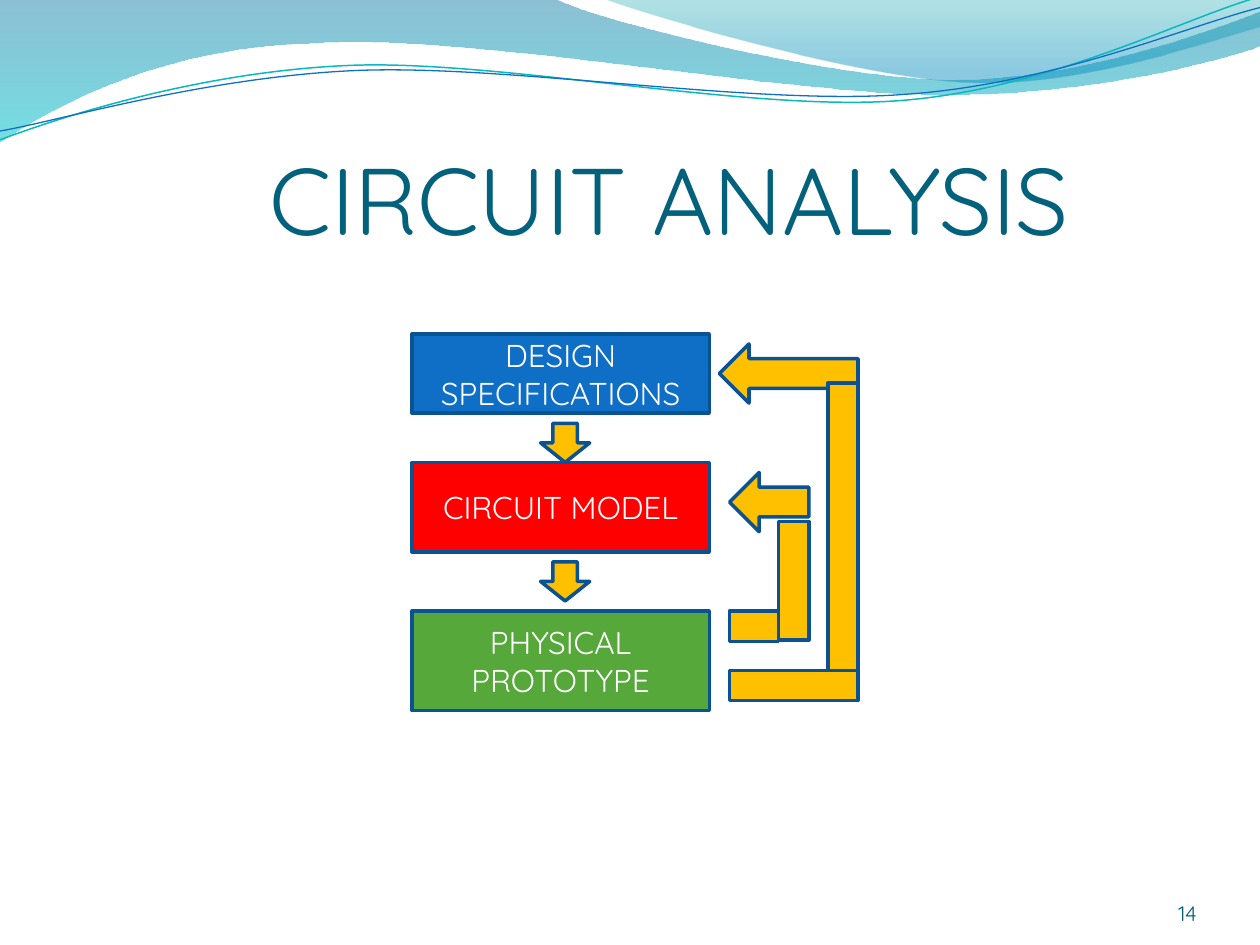
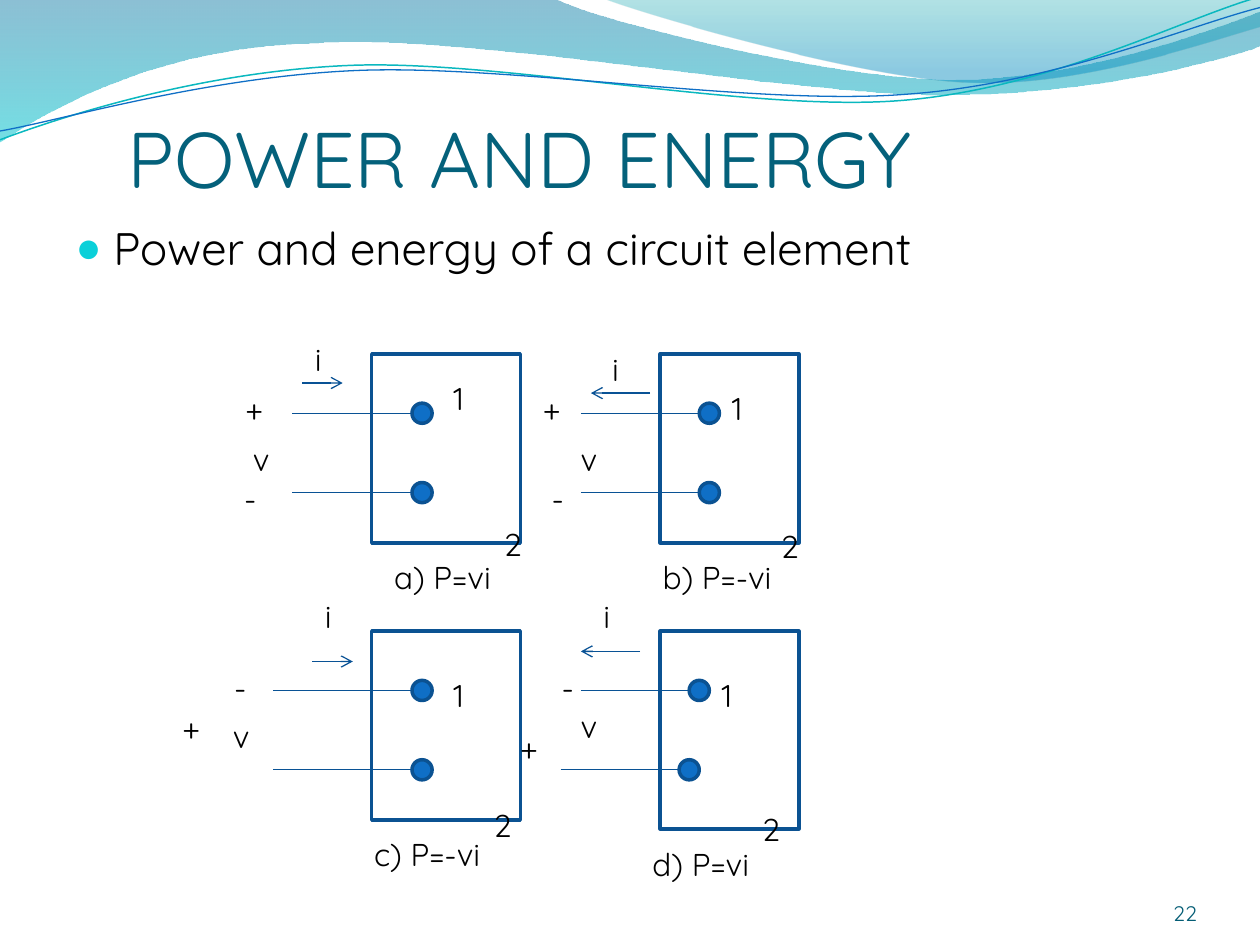
from dataclasses import dataclass

from lxml.etree import SubElement
from pptx import Presentation
from pptx.dml.color import RGBColor
from pptx.enum.shapes import MSO_CONNECTOR, MSO_SHAPE as Preset
from pptx.enum.text import MSO_ANCHOR as Anchor, MSO_AUTO_SIZE, PP_ALIGN as Align
from pptx.oxml.ns import qn
from pptx.util import Inches, Pt

# Shared look
FONT = "Quicksand"
BLACK, WHITE = "000000", "FFFFFF"
TITLE_COLOR, NUMBER_COLOR = "04617B", "045D75"
BLUE, EDGE, WIRE = "0F6FC6", "0B5292", "095295"
RED, GREEN, AMBER = "FF0000", "55A839", "FFC000"
BULLET = "0BD0D9"

Point = tuple[float, float]
Rect = tuple[float, float, float, float]


@dataclass
class Wave:
    """A start point, then segments of one point (line) or three (curve)."""
    start: Point
    segments: list[tuple[Point, ...]]
    stops: tuple = ()  # (position %, colour, opacity %)
    line: str = ""
    width: float = 0


@dataclass
class Block:
    preset: Preset
    rect: Rect
    fill: str
    text: str = ""


@dataclass
class Circuit:
    frame: Rect
    wires: tuple[Point, Point]  # start and end x of the upper and lower wire
    current: tuple[float, float, float]  # arrow from x, to x, at y
    labels: dict[str, Point]
    caption: str
    caption_at: Point


WAVES = [
    Wave((0, 0), [
        ((4.4, -0.01),),
        ((4.76, 0.17), (6.64, 0.63), (7.58, 0.63)),
        ((8.53, 0.63), (9.58, 0.26), (10, 0.09)),
        ((10.01, 0.36),),
        ((9.83, 0.44), (8.7, 0.76), (7.46, 0.75)),
        ((6.22, 0.75), (3.82, 0.28), (2.57, 0.34)),
        ((1.29, 0.36), (0.46, 0.83), (-0.01, 1.13)),
    ], stops=((0, "0074A1", 45), (100, "00C6CF", 55))),
    Wave((4.79, -0.01), [
        ((5.09, 0.11), (6.82, 0.62), (7.69, 0.65)),
        ((8.56, 0.69), (9.61, 0.32), (10, 0.21)),
        ((10, 0),),
    ], stops=((0, "00A1A9", 30), (80, "008BBF", 45))),
    Wave((0, 1.11), [
        ((0.48, 0.93), (1.58, 0.57), (2.77, 0.52)),
        ((3.95, 0.47), (5.93, 0.89), (7.13, 0.8)),
        ((8.33, 0.71), (9.38, 0.15), (9.98, -0.02)),
    ], line="0AB8BF", width=0.85),
    Wave((0, 1.04), [
        ((0.47, 0.96), (1.64, 0.61), (2.83, 0.56)),
        ((4.03, 0.51), (5.97, 0.84), (7.17, 0.75)),
        ((8.36, 0.67), (9.41, 0.21), (10, 0.06)),
    ], line=BLUE, width=0.75),
]

BLOCKS = [
    Block(Preset.RECTANGLE, (3.27, 2.65, 2.36, 0.63), BLUE, "DESIGN SPECIFICATIONS"),
    Block(Preset.RECTANGLE, (3.27, 3.67, 2.36, 0.71), RED, "CIRCUIT MODEL"),
    Block(Preset.RECTANGLE, (3.27, 4.85, 2.36, 0.79), GREEN, "PHYSICAL PROTOTYPE"),
    Block(Preset.DOWN_ARROW, (4.29, 3.36, 0.39, 0.31), AMBER),
    Block(Preset.DOWN_ARROW, (4.29, 4.46, 0.39, 0.31), AMBER),
    # Feedback paths back to the specifications and the model
    Block(Preset.LEFT_ARROW, (5.71, 2.73, 1.1, 0.47), AMBER),
    Block(Preset.LEFT_ARROW, (5.79, 3.75, 0.63, 0.47), AMBER),
    Block(Preset.RECTANGLE, (6.18, 4.14, 0.24, 0.94), AMBER),
    Block(Preset.RECTANGLE, (5.79, 4.85, 0.39, 0.24), AMBER),
    Block(Preset.RECTANGLE, (5.79, 5.32, 1.02, 0.24), AMBER),
    Block(Preset.RECTANGLE, (6.57, 3.04, 0.24, 2.28), AMBER),
]

CIRCUITS = [
    Circuit((2.95, 2.81, 1.18, 1.5), ((2.32, 3.27), (2.32, 3.27)), (2.4, 2.72, 3.04),
            {"i": (2.4, 2.65), "+": (1.85, 3.04), "v": (1.91, 3.44),
             "-": (1.84, 3.75), "1": (3.5, 2.96), "2": (3.9, 4.12)},
            "a) P=vi", (3.03, 4.38)),
    Circuit((5.24, 2.81, 1.1, 1.5), ((4.61, 5.55), (4.61, 5.55)), (5.16, 4.69, 3.12),
            {"i": (4.76, 2.73), "+": (4.21, 3.04), "v": (4.51, 3.44),
             "-": (4.28, 3.75), "1": (5.71, 3.04), "2": (6.1, 4.13)},
            "b) P=-vi", (5.16, 4.38)),
    Circuit((2.95, 5.01, 1.18, 1.5), ((2.17, 3.27), (2.17, 3.27)), (2.48, 2.8, 5.25),
            {"i": (2.48, 4.69), "+": (1.35, 5.57), "v": (1.75, 5.64),
             "-": (1.76, 5.25), "1": (3.5, 5.32), "2": (3.82, 6.35)},
            "c) P=-vi", (2.87, 6.58)),
    Circuit((5.24, 5.01, 1.1, 1.57), ((4.61, 5.47), (4.45, 5.39)), (5.08, 4.61, 5.17),
            {"i": (4.69, 4.69), "+": (4.03, 5.73), "v": (4.51, 5.56),
             "-": (4.36, 5.25), "1": (5.63, 5.32), "2": (5.95, 6.38)},
            "d) P=vi", (5.08, 6.66)),
]
WIRE_DROPS = (0.47, 1.1)  # below the top of the frame
DOT = 0.16


# Helpers
def rgb(color: str) -> RGBColor:
    return RGBColor.from_string(color)


def inches(values) -> list:
    return [Inches(value) for value in values]


def write(frame, text: str, *, size: float = 18, color: str = BLACK, align=Align.LEFT,
          anchor=Anchor.TOP, margins: Rect = (0.1, 0.05, 0.1, 0.05)):
    """Put one formatted paragraph in a text frame; margins: left, top, right, bottom."""
    frame.word_wrap = True
    frame.auto_size = MSO_AUTO_SIZE.NONE
    frame.vertical_anchor = anchor
    (frame.margin_left, frame.margin_top,
     frame.margin_right, frame.margin_bottom) = inches(margins)
    para = frame.paragraphs[0]
    para.alignment = align
    span = para.add_run()
    span.text = text
    span.font.name, span.font.size = FONT, Pt(size)
    span.font.color.rgb = rgb(color)
    return para


def add_label(page, text: str, rect: Rect, **style) -> None:
    write(page.shapes.add_textbox(*inches(rect)).text_frame, text, **style)


def add_block(page, block: Block) -> None:
    shape = page.shapes.add_shape(block.preset, *inches(block.rect))
    shape.shadow.inherit = False
    shape.fill.solid()
    shape.fill.fore_color.rgb = rgb(block.fill)
    shape.line.color.rgb, shape.line.width = rgb(EDGE), Pt(2)
    if block.text:
        write(shape.text_frame, block.text, color=WHITE, align=Align.CENTER,
              anchor=Anchor.MIDDLE)


def add_line(page, start: Point, end: Point, arrow: bool = False) -> None:
    line = page.shapes.add_connector(MSO_CONNECTOR.STRAIGHT, *inches(start + end))
    line.line.color.rgb, line.line.width = rgb(WIRE), Pt(0.75)
    properties = line.element.spPr
    if arrow:
        SubElement(properties.find(qn("a:ln")), qn("a:tailEnd"), type="arrow")
    SubElement(properties, qn("a:effectLst"))


def bend(shape, segments: list[tuple[Point, ...]]) -> None:
    """Turn each run of three straight steps into one Bezier curve."""
    steps = iter(list(shape.element.iter(qn("a:lnTo"))))
    for segment in segments:
        first, *others = [next(steps) for _ in segment]
        if others:
            first.tag = qn("a:cubicBezTo")
            for step in others:
                first.append(step[0])
                step.getparent().remove(step)


def fill_gradient(shape, stops) -> None:
    """Vertical gradient with transparent stops."""
    shape.fill.gradient()
    gradient = shape.element.spPr.find(qn("a:gradFill"))
    for child in list(gradient):
        gradient.remove(child)
    stop_list = SubElement(gradient, qn("a:gsLst"))
    for position, color, opacity in stops:
        stop = SubElement(stop_list, qn("a:gs"), pos=str(position * 1000))
        tone = SubElement(stop, qn("a:srgbClr"), val=color)
        SubElement(tone, qn("a:alpha"), val=str(opacity * 1000))
    SubElement(gradient, qn("a:lin"), ang="5400000", scaled="0")


def add_waves(deck, page) -> None:
    """Build the waves on a page and move them to the master."""
    for number, wave in enumerate(WAVES):
        points = [inches(point) for segment in wave.segments for point in segment]
        builder = page.shapes.build_freeform(*inches(wave.start))
        builder.add_line_segments(points, close=bool(wave.stops))
        shape = builder.convert_to_shape()
        bend(shape, wave.segments)
        shape.shadow.inherit = False
        if wave.stops:
            fill_gradient(shape, wave.stops)
            shape.line.fill.background()
        else:
            shape.fill.background()
            shape.line.color.rgb, shape.line.width = rgb(wave.line), Pt(wave.width)
        shape.element.nvSpPr.cNvPr.id = 100 + number
        deck.slide_master.shapes.element.append(shape.element)


def place(shape, rect: Rect) -> None:
    shape.left, shape.top, shape.width, shape.height = inches(rect)


def add_page(deck, layout: int, title: str, number: str, *, height: float, size: float,
             indent: float):
    page = deck.slides.add_slide(deck.slide_layouts[layout])
    place(page.shapes.title, (0.5, 0.77, 9, height))
    write(page.shapes.title.text_frame, title, size=size, color=TITLE_COLOR,
          anchor=Anchor.BOTTOM, margins=(indent, 0.05, 0, 0))
    add_label(page, number, (8.67, 6.95, 0.83, 0.4), size=12, color=NUMBER_COLOR,
              align=Align.RIGHT, anchor=Anchor.BOTTOM, margins=(0, 0, 0, 0))
    return page


def add_bullet(body, text: str) -> None:
    properties = write(body.text_frame, text, size=26)._p.get_or_add_pPr()
    properties.set("marL", str(Inches(0.3)))
    properties.set("indent", str(Inches(-0.3)))
    SubElement(SubElement(properties, qn("a:buClr")), qn("a:srgbClr"), val=BULLET)
    SubElement(properties, qn("a:buSzPct"), val="95000")
    SubElement(properties, qn("a:buChar"), char="●")


def add_circuit(page, circuit: Circuit) -> None:
    add_block(page, Block(Preset.RECTANGLE, circuit.frame, WHITE))
    for (start, end), drop in zip(circuit.wires, WIRE_DROPS):
        y = circuit.frame[1] + drop
        add_line(page, (start, y), (end, y))
        add_block(page, Block(Preset.OVAL, (end, y - DOT / 2, DOT, DOT), BLUE))
    start, end, y = circuit.current
    add_line(page, (start, y), (end, y), arrow=True)
    for text, position in circuit.labels.items():
        add_label(page, text, (*position, 0.4, 0.4))
    add_label(page, circuit.caption, (*circuit.caption_at, 1.42, 0.4))


deck = Presentation()
deck.slide_width, deck.slide_height = Inches(10), Inches(7.5)

# Design loop
page = add_page(deck, 5, "CIRCUIT ANALYSIS", "14", height=1.25, size=54, indent=1.64)
add_waves(deck, page)
for block in BLOCKS:
    add_block(page, block)

# Sign conventions for power
page = add_page(deck, 1, "POWER AND ENERGY", "22", height=0.85, size=45, indent=0.51)
body = page.placeholders[1]
place(body, (0.5, 1.7, 9, 5.51))
add_bullet(body, "Power and energy of a circuit element")
for circuit in CIRCUITS:
    add_circuit(page, circuit)

deck.save("out.pptx")
